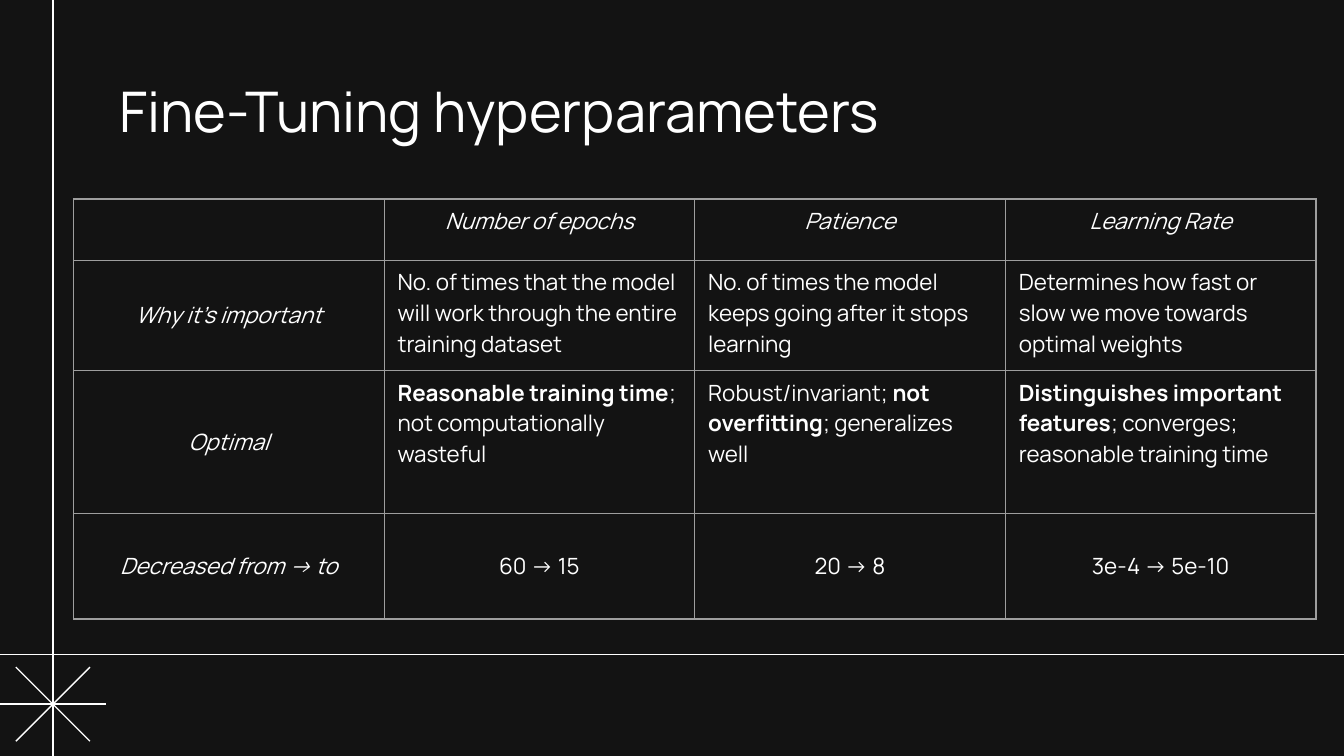
"""Builds a dark slide with a table of fine-tuning hyperparameters."""
from lxml import etree
from pptx import Presentation
from pptx.dml.color import RGBColor
from pptx.enum.shapes import MSO_CONNECTOR
from pptx.enum.text import MSO_ANCHOR, PP_ALIGN
from pptx.oxml.ns import qn
from pptx.util import Cm, Pt

STRAIGHT = MSO_CONNECTOR.STRAIGHT
MIDDLE, TOP = MSO_ANCHOR.MIDDLE, MSO_ANCHOR.TOP
CENTER, LEFT = PP_ALIGN.CENTER, PP_ALIGN.LEFT

COLORS = {"background": "131313", "text": "FFFFFF", "border": "9E9E9E"}
FONT = "Manrope"
TITLE = "Fine-Tuning hyperparameters"
HEADERS = ["", "Number of epochs", "Patience", "Learning Rate"]
# Each cell is a list of (text, bold) spans.
ROWS = [
    ("Why it’s important", [
        [("No. of times that the model will work through the entire training dataset", False)],
        [("No. of times the model keeps going after it stops learning", False)],
        [("Determines how fast or slow we move towards optimal weights", False)],
    ]),
    ("Optimal", [
        [("Reasonable training time", True), ("; not computationally wasteful", False)],
        [("Robust/invariant; ", False), ("not overfitting", True), ("; generalizes well", False)],
        [("Distinguishes important features", True),
         ("; converges; reasonable training time", False)],
    ]),
    ("Decreased from → to", [
        [("60 → 15", False)],
        [("20 → 8", False)],
        [("3e-4 → 5e-10", False)],
    ]),
]
ROW_HEIGHTS = [1.16, 2.08, 2.7, 2.0]
COLUMN_WIDTH = 5.87
WIDTH, HEIGHT = 25.4, 14.29
STAR_X, STAR_Y, STAR_ARM = 1.0, 13.31, 0.7


def color(name):
    return RGBColor.from_string(COLORS[name])


def add_span(para, text, size, bold=False, italic=False):
    span = para.add_run()
    span.text = text
    span.font.name, span.font.size = FONT, Pt(size)
    span.font.bold, span.font.italic = bold, italic
    span.font.color.rgb = color("text")


def add_line(page, start, end):
    line = page.shapes.add_connector(STRAIGHT, *map(Cm, start + end))
    line.line.color.rgb = color("text")
    line.line.width = Pt(0.75)
    etree.SubElement(line._element.spPr, qn("a:effectLst"))


def add_borders(cell):
    properties = cell._tc.get_or_add_tcPr()
    for position, side in enumerate(("a:lnL", "a:lnR", "a:lnT", "a:lnB")):
        border = etree.Element(qn(side), w=str(Pt(0.75)))
        fill = etree.SubElement(border, qn("a:solidFill"))
        etree.SubElement(fill, qn("a:srgbClr"), val=COLORS["border"])
        properties.insert(position, border)


def fill_cell(cell, spans, italic, align, anchor):
    cell.fill.background()
    cell.vertical_anchor = anchor
    add_borders(cell)
    para = cell.text_frame.paragraphs[0]
    para.alignment = align
    for text, bold in spans:
        if text:
            add_span(para, text, 12, bold, italic)


def add_title(page):
    title = page.shapes.title
    title.left, title.top, title.width, title.height = map(Cm, (2.01, 1.19, 21.41, 1.6))
    frame = title.text_frame
    frame.word_wrap = True
    frame.vertical_anchor = TOP
    frame.margin_left = frame.margin_right = frame.margin_top = frame.margin_bottom = Cm(0.25)
    para = frame.paragraphs[0]
    para.alignment = LEFT
    add_span(para, TITLE, 30)


def add_grid(page):
    frame = page.shapes.add_table(
        len(ROW_HEIGHTS), len(HEADERS), Cm(1.39), Cm(3.76),
        Cm(COLUMN_WIDTH * len(HEADERS)), Cm(sum(ROW_HEIGHTS)))
    table = frame.table
    for column in table.columns:
        column.width = Cm(COLUMN_WIDTH)
    for row, height in zip(table.rows, ROW_HEIGHTS):
        row.height = Cm(height)
    for index, header in enumerate(HEADERS):
        fill_cell(table.cell(0, index), [(header, False)], True, CENTER, TOP)
    for number, (label, cells) in enumerate(ROWS, 1):
        fill_cell(table.cell(number, 0), [(label, False)], True, CENTER, MIDDLE)
        is_last = number == len(ROWS)
        align, anchor = (CENTER, MIDDLE) if is_last else (LEFT, TOP)
        for index, spans in enumerate(cells, 1):
            fill_cell(table.cell(number, index), spans, False, align, anchor)


def main():
    deck = Presentation()
    deck.slide_width, deck.slide_height = Cm(WIDTH), Cm(HEIGHT)
    page = deck.slides.add_slide(deck.slide_layouts[5])
    page.background.fill.solid()
    page.background.fill.fore_color.rgb = color("background")
    add_line(page, (0, 12.37), (WIDTH, 12.37))
    add_line(page, (STAR_X, 0), (STAR_X, HEIGHT))
    add_line(page, (0, STAR_Y), (2 * STAR_X, STAR_Y))
    for rise in (-STAR_ARM, STAR_ARM):
        add_line(page, (STAR_X - STAR_ARM, STAR_Y - rise), (STAR_X + STAR_ARM, STAR_Y + rise))
    add_title(page)
    add_grid(page)
    deck.save("out.pptx")


if __name__ == "__main__":
    main()
